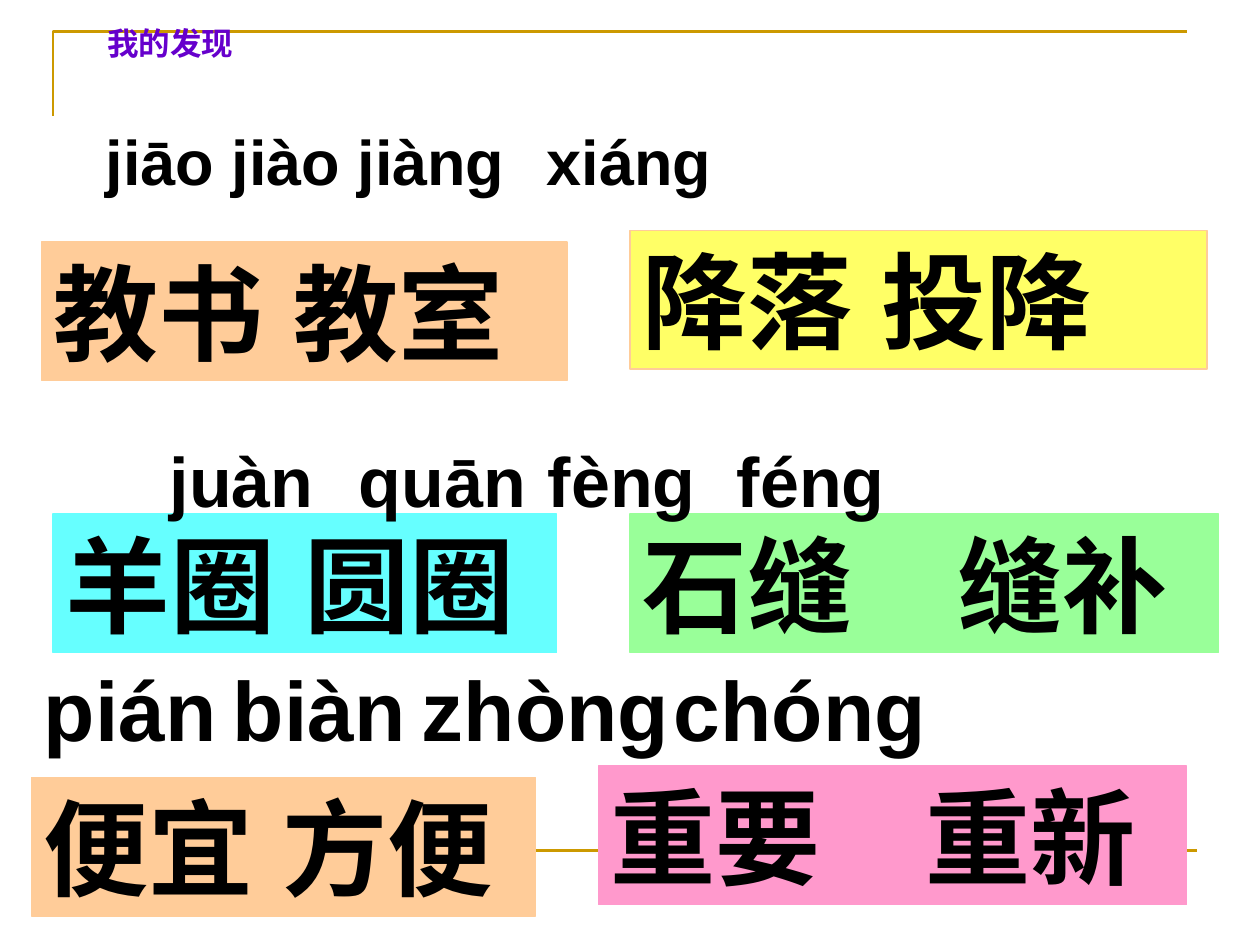
import pptx
import pptx.util
import pptx.dml.color
import pptx.enum.shapes
import pptx.enum.text
import pptx.oxml
import pptx.oxml.ns

Inches, Pt = pptx.util.Inches, pptx.util.Pt
RGBColor = pptx.dml.color.RGBColor
MSO_ANCHOR = pptx.enum.text.MSO_ANCHOR
PP_ALIGN = pptx.enum.text.PP_ALIGN
qn = pptx.oxml.ns.qn

GOLD = RGBColor(0xCC, 0x99, 0x00)
PURPLE = RGBColor(0x66, 0x00, 0xCC)
BLACK = RGBColor(0x00, 0x00, 0x00)
PEACH = RGBColor(0xFF, 0xCC, 0x99)
YELLOW = RGBColor(0xFF, 0xFF, 0x66)
CYAN = RGBColor(0x66, 0xFF, 0xFF)
GREEN = RGBColor(0x99, 0xFF, 0x99)
PINK = RGBColor(0xFF, 0x99, 0xCC)

# words, fill, line, box (left, top, width, height)
WORD_CARDS = [
    ("教书 教室", PEACH, PEACH, (0.33, 1.92, 4.17, 1.1)),
    ("降落 投降", YELLOW, PEACH, (5, 1.83, 4.58, 1.1)),
    ("羊圈 圆圈", CYAN, CYAN, (0.42, 4.08, 4, 1.1)),
    ("石缝　缝补", GREEN, GREEN, (5, 4.08, 4.67, 1.1)),
    ("便宜 方便", PEACH, PEACH, (0.25, 6.17, 4, 1.1)),
    ("重要　重新", PINK, PINK, (4.75, 6.08, 4.67, 1.1)),
]

# syllables, size, indent, tab stops, box
PINYIN_ROWS = [
    (["jiāo", "jiào", "jiàng", "xiáng"], 36, 0.07, [1.76, 4.15, 7.13],
     (0.67, 0.92, 9, 0.7)),
    (["juàn", "quān", "fèng", "féng"], 40, 0, [1.45, 4.48, 6.11],
     (1.25, 3.42, 8.75, 0.77)),
    (["pián", "biàn", "zhòng", "chóng"], 48, 0, [2.11, 4.41, 6.93],
     (0.25, 5.17, 11, 0.9)),
]


def format_run(r, size, color, font):
    values = {"size": Pt(size), "bold": True, "name": font}
    for name, value in values.items():
        setattr(r.font, name, value)
    r.font.color.rgb = color
    # East Asian typeface follows the Latin one
    ea = pptx.oxml.parse_xml(
        '<a:ea xmlns:a="http://schemas.openxmlformats.org/drawingml/2006/main"'
        f' typeface="{font}"/>')
    r.font._element.find(qn("a:latin")).addnext(ea)


def format_frame(tf, anchor, wrap=True, top=0.05):
    values = {
        "word_wrap": wrap,
        "auto_size": pptx.enum.text.MSO_AUTO_SIZE.NONE,
        "vertical_anchor": anchor,
        "margin_left": Inches(0.1), "margin_right": Inches(0.1),
        "margin_top": Inches(top), "margin_bottom": Inches(0.05),
    }
    for name, value in values.items():
        setattr(tf, name, value)


def add_frame_lines(s, box):
    left, top, width, height = box
    # Corner bracket
    builder = s.shapes.build_freeform(Inches(left), Inches(top + height))
    builder.add_line_segments(
        [(Inches(left), Inches(top)), (Inches(left + width), Inches(top))],
        close=False)
    bracket = builder.convert_to_shape()
    bracket.shadow.inherit = False
    bracket.fill.background()
    # Bottom rule
    rule = s.shapes.add_connector(
        pptx.enum.shapes.MSO_CONNECTOR.STRAIGHT,
        Inches(0.5), Inches(6.75), Inches(9.5), Inches(6.75))
    rule._element.spPr.append(pptx.oxml.parse_xml(
        '<a:effectLst xmlns:a='
        '"http://schemas.openxmlformats.org/drawingml/2006/main"/>'))
    for shape in (bracket, rule):
        shape.line.color.rgb = GOLD
        shape.line.width = Pt(1.5)


def place_title(s, text, box):
    title = s.shapes.title
    title.left, title.top, title.width, title.height = map(Inches, box)
    # Bring the title in front of the frame lines
    title.element.getparent().append(title.element)
    format_frame(title.text_frame, MSO_ANCHOR.TOP, wrap=False, top=0.02)
    p = title.text_frame.paragraphs[0]
    p.alignment = PP_ALIGN.CENTER
    r = p.add_run()
    r.text = text
    format_run(r, 18, PURPLE, "Noto Sans CJK SC")


def add_word_card(s, words, fill, line, box):
    card = s.shapes.add_shape(
        pptx.enum.shapes.MSO_SHAPE.RECTANGLE, *map(Inches, box))
    card.shadow.inherit = False
    card.fill.solid()
    card.fill.fore_color.rgb = fill
    card.line.color.rgb = line
    card.line.width = Pt(0.75)
    format_frame(card.text_frame, MSO_ANCHOR.BOTTOM)
    p = card.text_frame.paragraphs[0]
    p.alignment = PP_ALIGN.LEFT
    r = p.add_run()
    r.text = words
    format_run(r, 60, BLACK, "Arial")


def add_pinyin_row(s, syllables, size, indent, stops, box):
    row = s.shapes.add_textbox(*map(Inches, box))
    format_frame(row.text_frame, MSO_ANCHOR.BOTTOM)
    p = row.text_frame.paragraphs[0]
    # Tab stops hold each syllable over its character
    pPr = p._p.get_or_add_pPr()
    pPr.set("marL", str(Inches(indent)))
    pPr.set("indent", "0")
    tabs = pPr.makeelement(qn("a:tabLst"), {})
    for stop in stops:
        tabs.append(tabs.makeelement(
            qn("a:tab"), {"pos": str(Inches(stop)), "algn": "l"}))
    pPr.append(tabs)
    r = p.add_run()
    r.text = "\t".join(syllables)
    format_run(r, size, BLACK, "Arial")


def main():
    prs = pptx.Presentation()
    prs.slide_width, prs.slide_height = Inches(10), Inches(7.5)
    s = prs.slides.add_slide(prs.slide_layouts[5])
    add_frame_lines(s, (0.42, 0.25, 9, 0.67))
    place_title(s, "我的发现", (0.33, 0.17, 2.04, 0.75))
    for card in WORD_CARDS:
        add_word_card(s, *card)
    for row in PINYIN_ROWS:
        add_pinyin_row(s, *row)
    prs.save("out.pptx")


if __name__ == "__main__":
    main()
